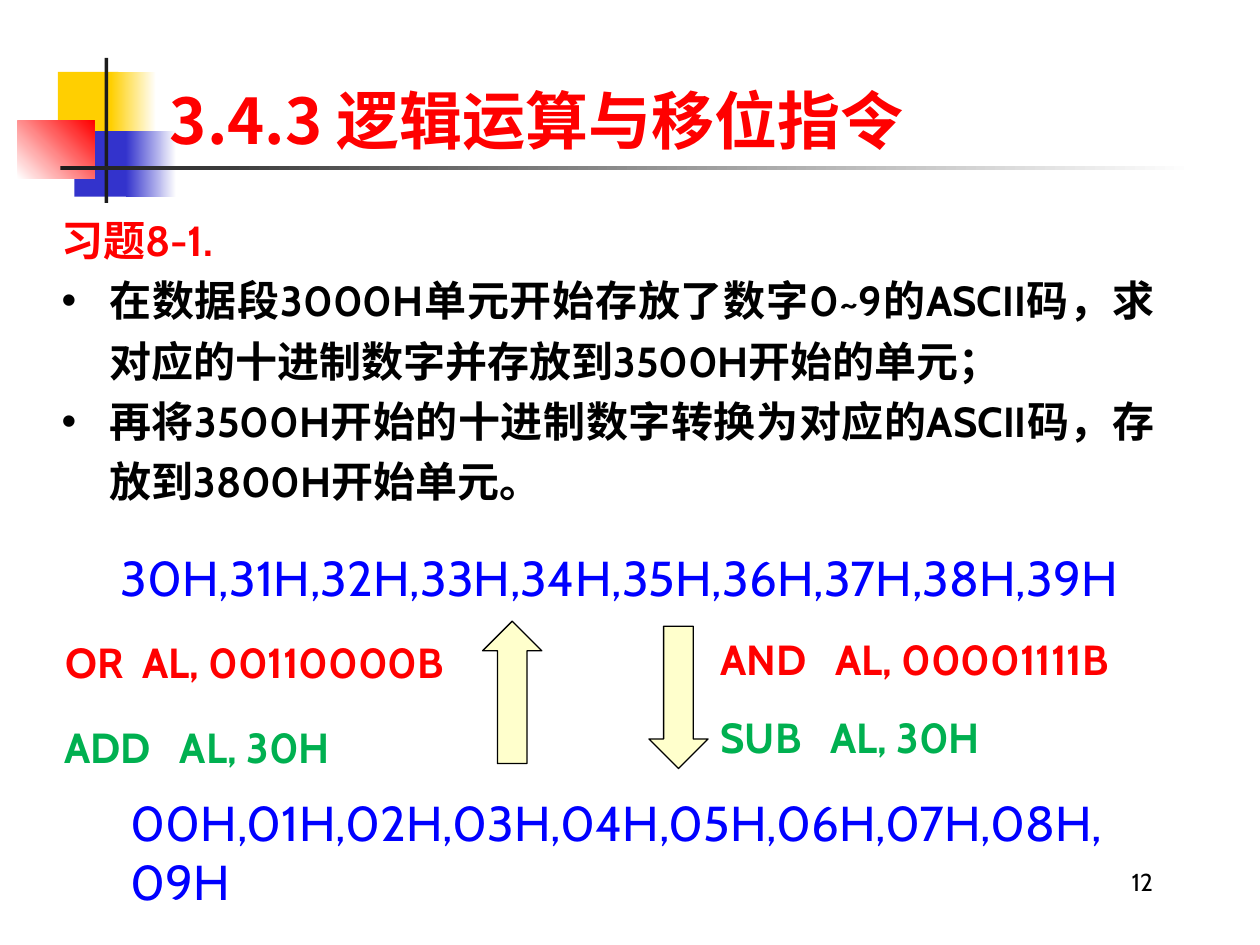
"""Build a slide on logical instructions with a two-way ASCII conversion diagram."""
from dataclasses import dataclass

from lxml.etree import SubElement
from pptx import Presentation
from pptx.dml.color import RGBColor
from pptx.enum.shapes import MSO_SHAPE
from pptx.enum.text import MSO_ANCHOR, PP_ALIGN
from pptx.oxml.ns import qn
from pptx.util import Inches, Pt


@dataclass(frozen=True)
class Theme:
    latin: str = "Cabin"
    asian: str = "Noto Sans CJK JP"
    red: str = "FF0000"
    green: str = "00B050"
    blue: str = "0000FF"
    black: str = "000000"
    white: str = "FFFFFF"
    gold: str = "FFCF01"
    indigo: str = "3333CC"
    ink: str = "1C1C1C"
    cream: str = "FFFFCC"
    title_size: int = 36
    list_size: int = 28
    body_size: int = 24
    number_size: int = 14


THEME = Theme()
WIDTH, HEIGHT = 10, 7.5
INDENT = 0.38

TITLE = "3.4.3 逻辑运算与移位指令"
EXERCISE = "习题8-1."
TASKS = [
    "在数据段3000H单元开始存放了数字0~9的ASCII码，求对应的十进制数字并存放到3500H开始的单元；",
    "再将3500H开始的十进制数字转换为对应的ASCII码，存放到3800H开始单元。",
]
PAGE_NUMBER = "12"
CODE_LISTS = [
    (0.86, 4.3, 0.57, ",".join(f"3{digit}H" for digit in range(10))),
    (0.94, 6.24, 1.04, ",".join(f"0{digit}H" for digit in range(10))),
]
INSTRUCTIONS = [
    (0.42, 5.0, 0.61, "OR\tAL, 00110000B", THEME.red),
    (0.41, 5.68, 0.92, "ADD\tAL, 30H", THEME.green),
    (5.62, 4.98, 0.91, "AND\tAL, 00001111B", THEME.red),
    (5.62, 5.6, 0.87, "SUB\tAL, 30H", THEME.green),
]
ARROWS = [(3.83, 4.93, 180), (5.15, 4.97, 0)]
DECORATIONS = [
    ((0.46, 0.57, 0.48, 0.52), (THEME.gold,), 0),
    ((0.88, 0.57, 0.36, 0.52), (THEME.gold, THEME.white), 0),
    ((0.59, 1.04, 0.46, 0.52), (THEME.indigo,), 0),
    ((1.0, 1.04, 0.4, 0.52), (THEME.indigo, THEME.white), 0),
    ((0.14, 0.96, 0.61, 0.46), (THEME.white, THEME.red), 45),
    ((0.83, 0.46, 0.03, 1.15), (THEME.ink,), 0),
    ((0.48, 1.32, 9.0, 0.03), (THEME.ink, THEME.white), 0),
]


def add_filled_shape(slide, kind, bounds, colors, angle=0):
    shape = slide.shapes.add_shape(kind, *map(Inches, bounds))
    shape.shadow.inherit = False
    shape.line.fill.background()
    if len(colors) == 1:
        shape.fill.solid()
        shape.fill.fore_color.rgb = RGBColor.from_string(colors[0])
    else:
        shape.fill.gradient()
        shape.fill.gradient_angle = angle
        for stop, color in zip(shape.fill.gradient_stops, colors):
            stop.color.rgb = RGBColor.from_string(color)
    return shape


def add_text(slide, bounds, lines, size, color, bold=False, latin=THEME.latin):
    frame = slide.shapes.add_textbox(*map(Inches, bounds)).text_frame
    frame.word_wrap = True
    frame.text = "\n".join(lines)
    for paragraph in frame.paragraphs:
        for run in paragraph.runs:
            run.font.name = latin
            run.font.size = Pt(size)
            run.font.bold = bold
            run.font.color.rgb = RGBColor.from_string(color)
            asian = SubElement(run.font._element, qn("a:ea"))
            asian.set("typeface", THEME.asian)
    return frame


def add_bullet(paragraph):
    properties = paragraph._p.get_or_add_pPr()
    properties.set("marL", str(Inches(INDENT)))
    properties.set("indent", str(-Inches(INDENT)))
    SubElement(properties, qn("a:buFont")).set("typeface", "Arial")
    SubElement(properties, qn("a:buChar")).set("char", "•")


def add_tab_stop(paragraph, position):
    tabs = SubElement(paragraph._p.get_or_add_pPr(), qn("a:tabLst"))
    tab = SubElement(tabs, qn("a:tab"))
    tab.set("pos", str(Inches(position)))
    tab.set("algn", "l")


def add_exercise(slide):
    frame = add_text(slide, (0.39, 1.57, 8.87, 2.52), [EXERCISE, *TASKS],
                     THEME.body_size, THEME.black, bold=True)
    heading, *tasks = frame.paragraphs
    heading.runs[0].font.color.rgb = RGBColor.from_string(THEME.red)
    for paragraph in frame.paragraphs:
        paragraph.alignment = PP_ALIGN.JUSTIFY
        paragraph.line_spacing = 1.2
    for paragraph in tasks:
        add_bullet(paragraph)


def add_conversion(slide):
    for left, top, height, codes in CODE_LISTS:
        add_text(slide, (left, top, 8.14, height), [codes], THEME.list_size, THEME.blue)
    for left, top, rotation in ARROWS:
        arrow = add_filled_shape(slide, MSO_SHAPE.DOWN_ARROW,
                                 (left, top, 0.47, 1.13), (THEME.cream,))
        arrow.rotation = rotation
        arrow.line.color.rgb = RGBColor.from_string(THEME.black)
        arrow.line.width = Pt(0.75)
    for left, top, tab, text, color in INSTRUCTIONS:
        frame = add_text(slide, (left, top, 3.78, 0.5), [text],
                         THEME.body_size, color, bold=True)
        add_tab_stop(frame.paragraphs[0], tab)


def main():
    presentation = Presentation()
    presentation.slide_width, presentation.slide_height = Inches(WIDTH), Inches(HEIGHT)
    slide = presentation.slides.add_slide(presentation.slide_layouts[6])
    for bounds, colors, angle in DECORATIONS:
        add_filled_shape(slide, MSO_SHAPE.RECTANGLE, bounds, colors, angle)
    title = add_text(slide, (1.25, 0.55, 6.8, 0.79), [TITLE], THEME.title_size,
                     THEME.red, bold=True, latin=THEME.asian)
    title.vertical_anchor = MSO_ANCHOR.MIDDLE
    add_exercise(slide)
    add_conversion(slide)
    number = add_text(slide, (7.17, 6.83, 2.08, 0.5), [PAGE_NUMBER],
                      THEME.number_size, THEME.black)
    number.paragraphs[0].alignment = PP_ALIGN.RIGHT
    presentation.save("out.pptx")


if __name__ == "__main__":
    main()
